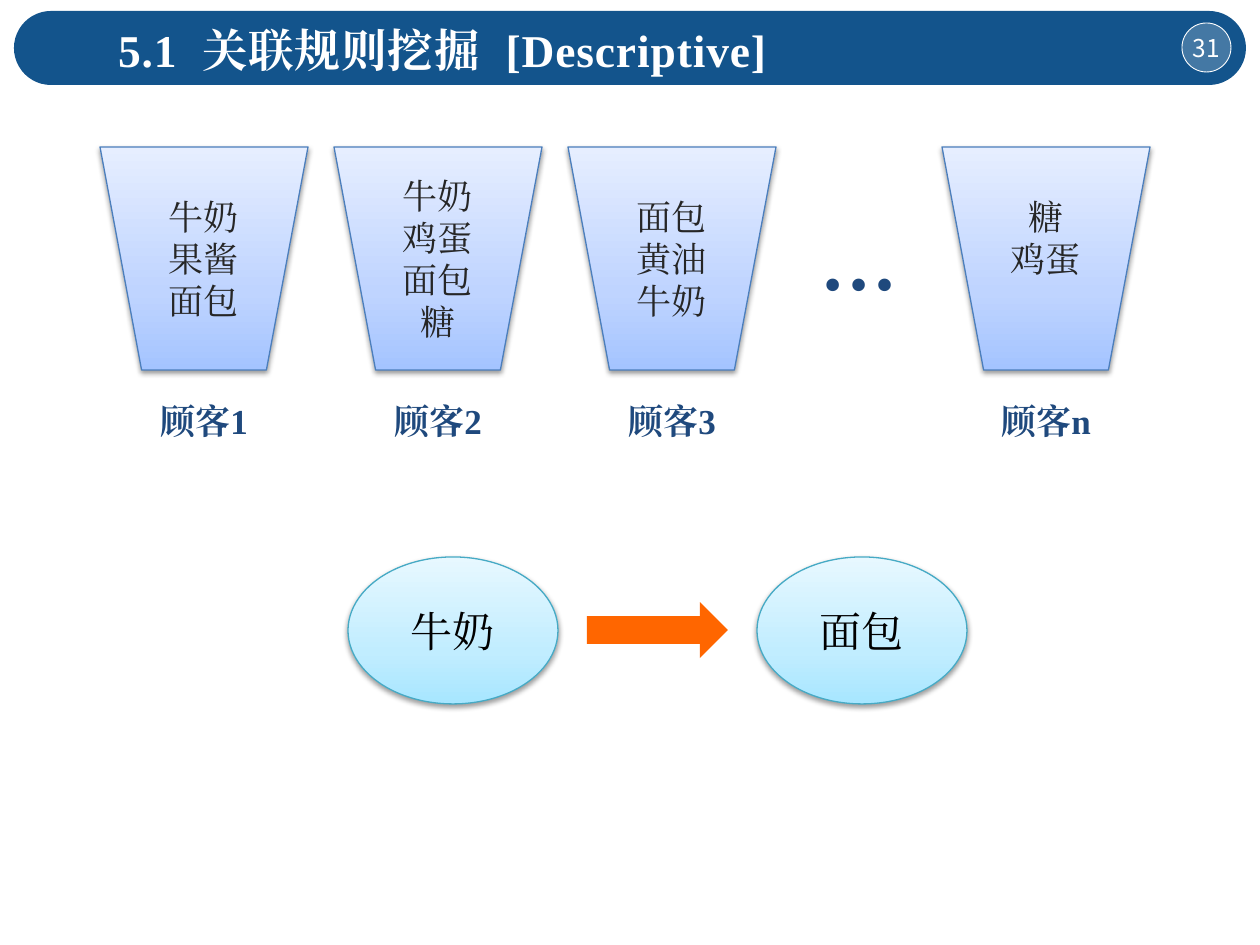
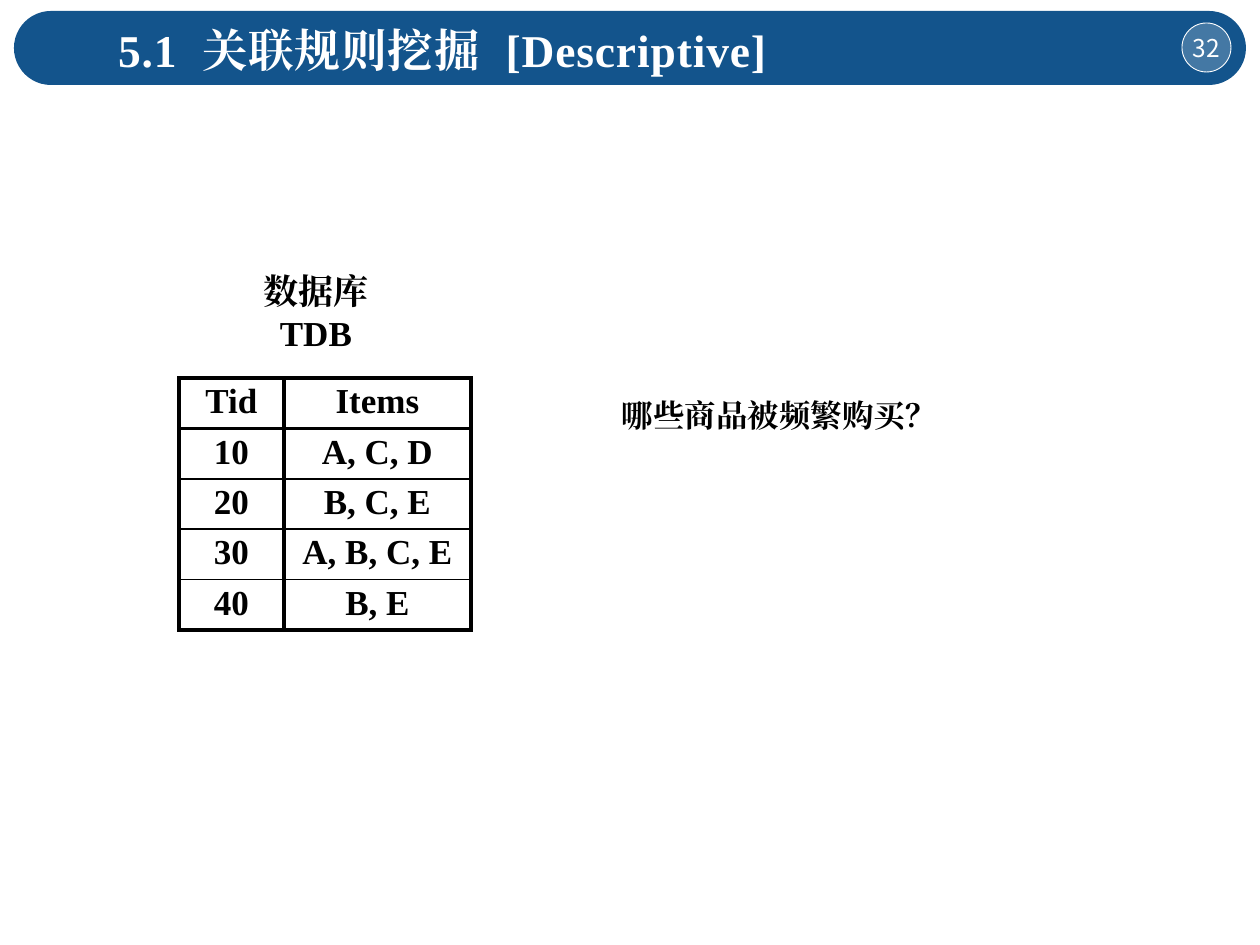
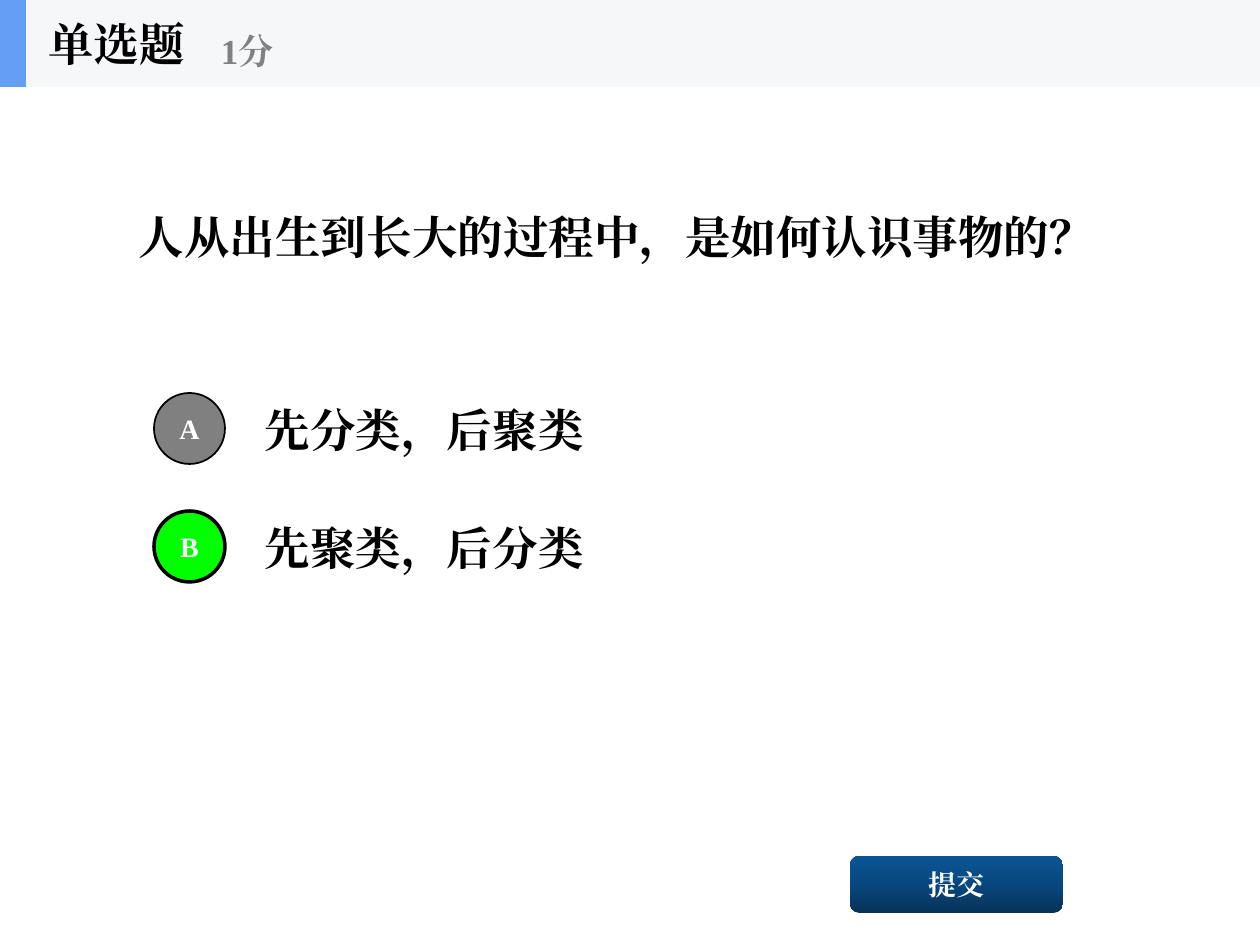
from lxml.etree import SubElement
from pptx import Presentation
from pptx.dml.color import RGBColor
from pptx.enum.lang import MSO_LANGUAGE_ID as LANG
from pptx.enum.shapes import MSO_SHAPE as SHAPE
from pptx.enum.text import MSO_ANCHOR as ANCHOR, MSO_AUTO_SIZE as AUTO, PP_ALIGN as ALIGN
from pptx.oxml.ns import qn
from pptx.util import Pt

SCALE = 914400 / 126
SERIF, SANS = "Times New Roman", "Noto Sans CJK SC"
BLACK = RGBColor(0x00, 0x00, 0x00)
WHITE = RGBColor(0xFF, 0xFF, 0xFF)
CHARCOAL = RGBColor(0x26, 0x26, 0x26)
GRAY = RGBColor(0x80, 0x80, 0x80)
GREEN = RGBColor(0x00, 0xFF, 0x00)
ORANGE = RGBColor(0xFF, 0x66, 0x00)
NAVY = RGBColor(0x1F, 0x49, 0x7D)
BAND = RGBColor(0x13, 0x54, 0x8C)
HEADER = RGBColor(0xF6, 0xF7, 0xF8)
ACCENT = RGBColor(0x63, 0x9E, 0xF4)
BASKET_LINE = RGBColor(0x4B, 0x7E, 0xBC)
ITEM_LINE = RGBColor(0x46, 0xAA, 0xC5)
BASKET_FILL = (
    (0, RGBColor(0xA4, 0xC4, 0xFF)),
    (35, RGBColor(0xBF, 0xD4, 0xFF)),
    (100, RGBColor(0xE6, 0xEE, 0xFF)),
)
ITEM_FILL = (
    (0, RGBColor(0xA7, 0xE6, 0xFF)),
    (35, RGBColor(0xC1, 0xED, 0xFF)),
    (100, RGBColor(0xE7, 0xF8, 0xFF)),
)
BUTTON_FILL = (
    (0, RGBColor(0x06, 0x32, 0x58)),
    (50, RGBColor(0x08, 0x47, 0x7E)),
    (100, RGBColor(0x0A, 0x55, 0x95)),
)
TITLE = ("5.1", "关联规则挖掘", "[Descriptive]")


def px(*lengths):
    return [round(n * SCALE) for n in lengths]


def add_run(p, text, size=20, color=BLACK, bold=True, font=SERIF, spc=0):
    r = p.add_run()
    r.text = text
    r.font.size, r.font.bold, r.font.name = Pt(size), bold, font
    r.font.color.rgb = color
    r.font.language_id = LANG.SIMPLIFIED_CHINESE
    r_pr = r.font._element
    SubElement(r_pr, qn("a:ea")).set("typeface", font)
    if spc:
        r_pr.set("spc", str(round(spc * 100)))


def add_text(tf, text, align=ALIGN.LEFT, spacing=None, **fmt):
    for i, line in enumerate(text.split("\n")):
        p = tf.add_paragraph() if i else tf.paragraphs[0]
        p.alignment = align
        if spacing:
            p.line_spacing = spacing
        add_run(p, line, **fmt)


class Deck:
    def __init__(self):
        self.prs = Presentation()
        self.prs.slide_width, self.prs.slide_height = px(1260, 945)
        self.s = None

    def new_slide(self):
        self.s = self.prs.slides.add_slide(self.prs.slide_layouts[5])

    def frame(self, sp, inset=(13, 6, 13, 6)):
        tf = sp.text_frame
        tf.word_wrap, tf.auto_size = True, AUTO.NONE
        tf.vertical_anchor = ANCHOR.MIDDLE
        tf.margin_left, tf.margin_top, tf.margin_right, tf.margin_bottom = px(*inset)
        return tf

    def title(self, x, y, w, h):
        sp = self.s.shapes.title
        sp.element.getparent().append(sp.element)
        sp.left, sp.top, sp.width, sp.height = px(x, y, w, h)
        return self.frame(sp)

    def text(self, text, x, y, w, h, **fmt):
        sp = self.s.shapes.add_textbox(*px(x, y, w, h))
        add_text(self.frame(sp), text, **fmt)

    def shape(self, kind, x, y, w, h, fill, line=None, width=0.75, shadow=False):
        sp = self.s.shapes.add_shape(kind, *px(x, y, w, h))
        sp.shadow.inherit = False
        if isinstance(fill, RGBColor):
            sp.fill.solid()
            sp.fill.fore_color.rgb = fill
        else:
            self.gradient(sp, fill)
        if line is None:
            sp.line.fill.background()
        else:
            sp.line.color.rgb, sp.line.width = line, Pt(width)
        if shadow:
            self.shadow(sp)
        return sp

    def label(self, sp, text, inset=(0, 0, 0, 0), **fmt):
        add_text(self.frame(sp, inset), text, align=ALIGN.CENTER, **fmt)

    def gradient(self, sp, stops):
        sp.fill.gradient()
        sp.fill.gradient_angle = 90
        gs_lst = sp.element.spPr.find(".//" + qn("a:gsLst"))
        for gs in list(gs_lst):
            gs_lst.remove(gs)
        for pos, color in stops:
            gs = SubElement(gs_lst, qn("a:gs"), pos=str(pos * 1000))
            SubElement(gs, qn("a:srgbClr"), val=str(color))

    def shadow(self, sp):
        effects = sp.element.spPr.find(qn("a:effectLst"))
        outer = SubElement(
            effects, qn("a:outerShdw"), blurRad=str(Pt(3.1)), dist=str(Pt(1.6)),
            dir="5400000", rotWithShape="0",
        )
        color = SubElement(outer, qn("a:srgbClr"), val=str(BLACK))
        SubElement(color, qn("a:alpha"), val="38000")

    def band(self, number):
        bar = self.shape(SHAPE.ROUNDED_RECTANGLE, 14, 11, 1232, 74, BAND)
        bar.adjustments[0] = 0.5
        badge = self.shape(SHAPE.OVAL, 1182, 23, 49, 49, WHITE, WHITE, 0.5)
        color = badge.element.spPr.find(qn("a:solidFill"))[0]
        SubElement(color, qn("a:alpha"), val="21000")
        self.label(badge, str(number), size=14, color=WHITE, bold=False, font=SANS)
        p = self.title(105, 15, 726, 68).paragraphs[0]
        p.alignment = ALIGN.LEFT
        for i, word in enumerate(TITLE):
            if i:
                add_run(p, " ", size=26, color=WHITE, spc=7.5)
            add_run(p, word, size=26, color=WHITE, spc=0.5)

    def table(self, rows, x, y, widths, row_height):
        shape = self.s.shapes.add_table(
            len(rows), len(widths), *px(x, y, sum(widths), row_height * len(rows))
        )
        table = shape.table
        table.first_row = table.horz_banding = False
        for column, width in zip(table.columns, px(*widths)):
            column.width = width
        for i, row in enumerate(rows):
            table.rows[i].height = px(row_height)[0]
            top = 2.25 if i < 2 else 1
            bottom = 2.25 if i in (0, len(rows) - 1) else 1
            for j, text in enumerate(row):
                cell = table.cell(i, j)
                self.borders(cell, L=2.25, R=2.25, T=top, B=bottom)
                cell.fill.background()
                cell.vertical_anchor = ANCHOR.MIDDLE
                add_text(cell.text_frame, text, align=ALIGN.CENTER, spacing=0.9)

    def borders(self, cell, **widths):
        tc_pr = cell._tc.get_or_add_tcPr()
        for side, width in widths.items():
            ln = SubElement(tc_pr, qn("a:ln" + side), w=str(Pt(width)))
            fill = SubElement(ln, qn("a:solidFill"))
            SubElement(fill, qn("a:srgbClr"), val=str(BLACK))


def baskets_slide(deck):
    deck.new_slide()
    deck.band(31)
    baskets = (
        (100, "1", "牛奶\n果酱\n面包", 6),
        (334, "2", "牛奶\n鸡蛋\n面包\n糖", 6),
        (568, "3", "面包\n黄油\n牛奶", 6),
        (942, "n", "糖\n鸡蛋", 48),
    )
    for x, customer, goods, bottom in baskets:
        basket = deck.shape(SHAPE.FLOWCHART_MANUAL_OPERATION, x, 147, 208, 223,
                            BASKET_FILL, BASKET_LINE, shadow=True)
        deck.label(basket, goods, inset=(13, 6, 13, bottom), spacing=Pt(24),
                   color=CHARCOAL, bold=False)
        deck.text("顾客" + customer, x, 393, 208, 55, align=ALIGN.CENTER, color=NAVY)
    deck.text("…", 801, 207, 116, 106, align=ALIGN.CENTER, size=44, color=NAVY)
    for x, item in ((348, "牛奶"), (757, "面包")):
        oval = deck.shape(SHAPE.OVAL, x, 557, 210, 147, ITEM_FILL, ITEM_LINE, shadow=True)
        deck.label(oval, item, size=24, bold=False)
    deck.shape(SHAPE.RIGHT_ARROW, 587, 602, 141, 56, ORANGE)


def database_slide(deck):
    deck.new_slide()
    deck.band(32)
    rows = (
        ("Tid", "Items"),
        ("10", "A, C, D"),
        ("20", "B, C, E"),
        ("30", "A, B, C, E"),
        ("40", "B, E"),
    )
    deck.table(rows, 179, 378, (105, 187), 50.4)
    deck.text("数据库\nTDB", 210, 262, 212, 100, align=ALIGN.CENTER, spacing=Pt(24))
    deck.text("哪些商品被频繁购买？", 609, 390, 441, 50, size=18)


def quiz_slide(deck):
    deck.new_slide()
    deck.shape(SHAPE.RECTANGLE, 0, 0, 1260, 87, HEADER)
    deck.shape(SHAPE.RECTANGLE, 0, 0, 26, 87, ACCENT)
    add_text(deck.title(35, 0, 262, 87), "单选题", size=26)
    deck.text("1分", 208, 15, 315, 71, color=GRAY)
    deck.text("人从出生到长大的过程中，是如何认识事物的？", 126, 89, 1008, 295, size=26)
    options = (("A", "先分类，后聚类", GRAY, 1), ("B", "先聚类，后分类", GREEN, 2))
    for i, (letter, answer, color, width) in enumerate(options):
        y = 393 + 118 * i
        circle = deck.shape(SHAPE.OVAL, 154, y, 71, 71, color, BLACK, width)
        deck.label(circle, letter, size=16, color=WHITE)
        deck.text(answer, 252, y - 8, 882, 88, size=26)
    button = deck.shape(SHAPE.ROUNDED_RECTANGLE, 850, 856, 213, 57, BUTTON_FILL)
    deck.label(button, "提交", size=16, color=WHITE)


def main():
    deck = Deck()
    baskets_slide(deck)
    database_slide(deck)
    quiz_slide(deck)
    deck.prs.save("out.pptx")


if __name__ == "__main__":
    main()
